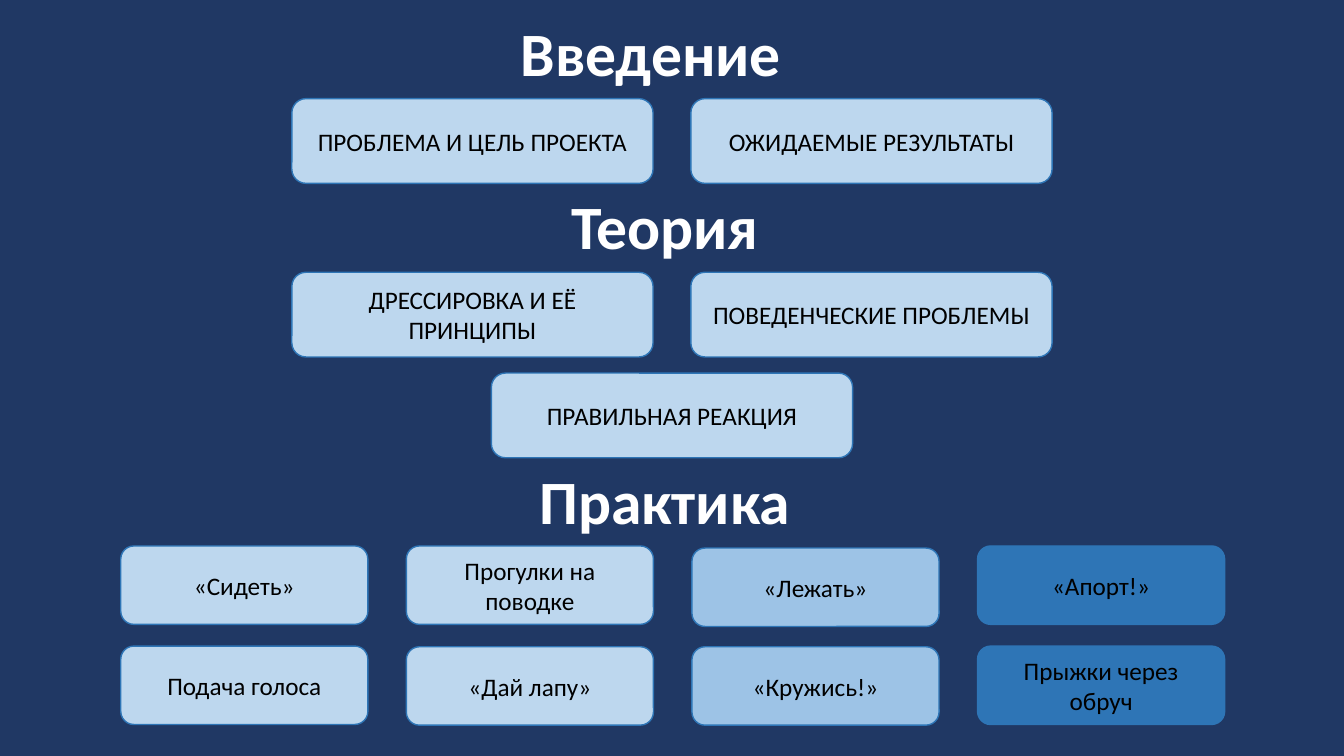
from pptx import Presentation
from pptx.dml.color import RGBColor
from pptx.enum.shapes import MSO_SHAPE
from pptx.enum.text import MSO_ANCHOR, MSO_AUTO_SIZE, PP_ALIGN
from pptx.util import Pt

CARD_SHAPE = MSO_SHAPE.FLOWCHART_ALTERNATE_PROCESS
MIDDLE = MSO_ANCHOR.MIDDLE
NO_AUTOFIT = MSO_AUTO_SIZE.NONE
CENTER = PP_ALIGN.CENTER

THEME = {
    "background": RGBColor(0x20, 0x38, 0x64),
    "light": RGBColor(0xBD, 0xD7, 0xEE),
    "medium": RGBColor(0x9D, 0xC3, 0xE6),
    "dark": RGBColor(0x2E, 0x75, 0xB6),
    "heading": {"name": "Calibri", "size": Pt(44), "bold": True},
    "heading_color": RGBColor(0xFF, 0xFF, 0xFF),
    "card": {"name": "Calibri", "size": Pt(18), "bold": False},
    "card_color": RGBColor(0x00, 0x00, 0x00),
}


def write_text(shape, text, style, line_spacing):
    frame = shape.text_frame
    frame.text = text
    frame.word_wrap = True
    frame.auto_size = NO_AUTOFIT
    frame.vertical_anchor = MIDDLE
    paragraph = frame.paragraphs[0]
    paragraph.alignment = CENTER
    paragraph.line_spacing = line_spacing
    font = paragraph.runs[0].font
    for name, value in THEME[style].items():
        setattr(font, name, value)
    font.color.rgb = THEME[style + "_color"]


def add_card(text, left, top, width, height, tone):
    card = slide.shapes.add_shape(CARD_SHAPE, Pt(left), Pt(top), Pt(width), Pt(height))
    card.shadow.inherit = False
    card.fill.solid()
    card.fill.fore_color.rgb = THEME[tone]
    card.line.color.rgb = THEME["dark"]
    card.line.width = Pt(1)
    write_text(card, text, "card", 1.0)


# Slide and background
presentation = Presentation()
presentation.slide_width, presentation.slide_height = Pt(960), Pt(540)
slide = presentation.slides.add_slide(presentation.slide_layouts[5])
slide.background.fill.solid()
slide.background.fill.fore_color.rgb = THEME["background"]

# Introduction and theory cards, each row centred on the slide
WIDE_WIDTH, WIDE_HEIGHT, WIDE_STEP = 258, 60.5, 285
topic_rows = [
    (70.5, ["ПРОБЛЕМА И ЦЕЛЬ ПРОЕКТА", "ОЖИДАЕМЫЕ РЕЗУЛЬТАТЫ"]),
    (194.5, ["ДРЕССИРОВКА И ЕЁ ПРИНЦИПЫ", "ПОВЕДЕНЧЕСКИЕ ПРОБЛЕМЫ"]),
    (266.5, ["ПРАВИЛЬНАЯ РЕАКЦИЯ"]),
]
for top, topics in topic_rows:
    row_width = WIDE_WIDTH + WIDE_STEP * (len(topics) - 1)
    first_left = (960 - row_width) / 2
    for column, topic in enumerate(topics):
        add_card(topic, first_left + column * WIDE_STEP, top, WIDE_WIDTH, WIDE_HEIGHT, "light")

# Section headings
title = slide.shapes.title
theory = slide.shapes.add_textbox(0, 0, 0, 0)
practice = slide.shapes.add_textbox(0, 0, 0, 0)
headings = [
    (title, "Введение", 51, -12, 104.5),
    (theory, "Теория", 61, 128, 71.5),
    (practice, "Практика", 61, 326, 68.5),
]
for shape, text, left, top, height in headings:
    shape.left, shape.top = Pt(left), Pt(top)
    shape.width, shape.height = Pt(828), Pt(height)
    write_text(shape, text, "heading", 0.9)

# Practice cards: one column per pair of skills, with the tops of both rows
practice_columns = [
    ("light", [("«Сидеть»", 390), ("Подача голоса", 461.5)]),
    ("light", [("Прогулки на поводке", 390), ("«Дай лапу»", 462)]),
    ("medium", [("«Лежать»", 391.5), ("«Кружись!»", 462)]),
    ("dark", [("«Апорт!»", 390), ("Прыжки через обруч", 461.5)]),
]
for column, (tone, skills) in enumerate(practice_columns):
    for skill, top in skills:
        add_card(skill, 86.25 + column * 204, top, 176.5, 56, tone)

presentation.save("out.pptx")
